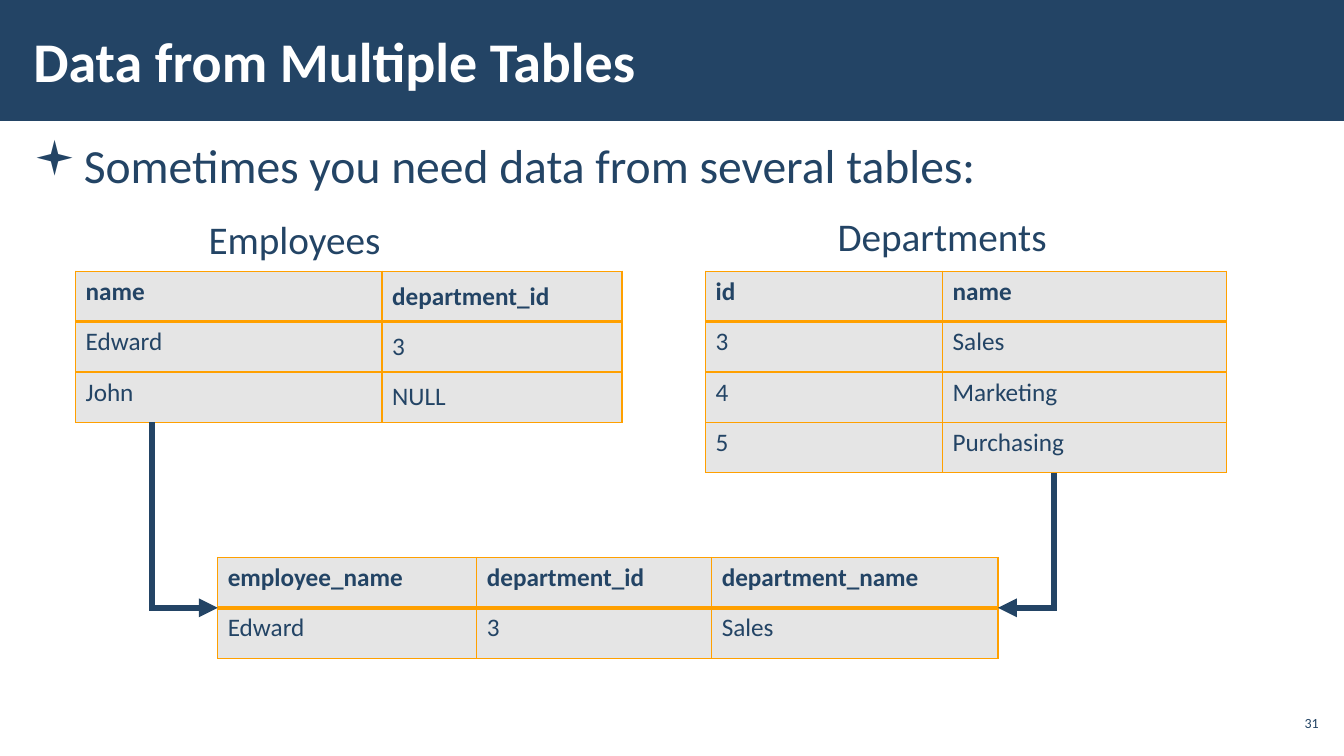
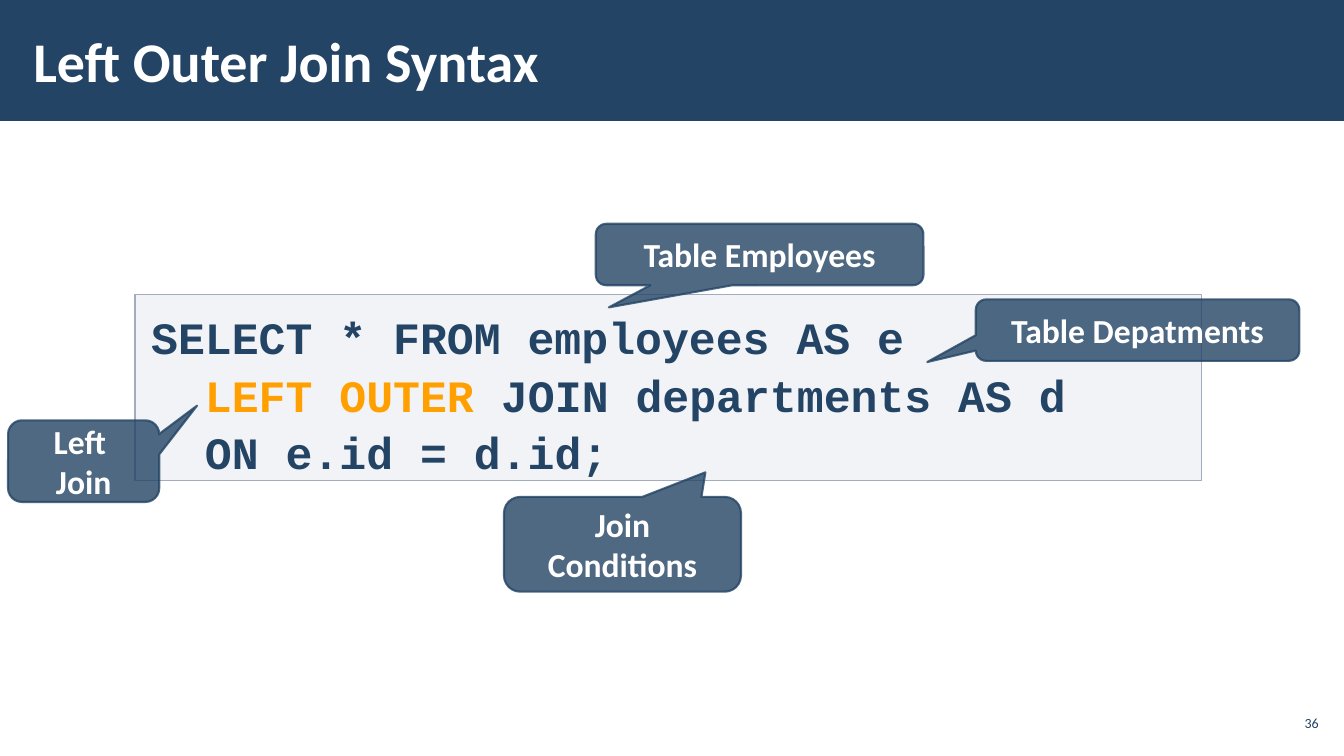
from lxml.etree import SubElement
from pptx import Presentation
from pptx.dml.color import RGBColor
from pptx.enum.shapes import MSO_CONNECTOR, MSO_SHAPE
from pptx.enum.text import MSO_ANCHOR, PP_ALIGN
from pptx.oxml.ns import qn
from pptx.util import Inches, Pt

# Shared look
NAVY, ORANGE, WHITE, GRAY = "234465", "FFA000", "FFFFFF", "808080"
CODE_FILL, CODE_LINE = "C2C7D2", "A3ABBC"
SANS, MONO = "Calibri", "Courier New"

# Grid: 100 columns by 100 rows over the slide
SLIDE_W, SLIDE_H = Inches(13.33), Inches(7.5)
TABLE_ROW = 6.67
LEFT_SIDE, RIGHT_SIDE = 1, 3


def col(n):
    return round(SLIDE_W * n / 100)


def row(n):
    return round(SLIDE_H * n / 100)


def area(left, top, width, height):
    return col(left), row(top), col(width), row(height)


def rgb(color):
    return RGBColor.from_string(color)


def paint(fill, color, opacity=100):
    fill.solid()
    fill.fore_color.rgb = rgb(color)
    if opacity < 100:
        srgb = fill._xPr.find(qn("a:solidFill")).find(qn("a:srgbClr"))
        SubElement(srgb, qn("a:alpha"), val=str(opacity * 1000))


def style(run, size, color=NAVY, bold=False, font=SANS):
    run.font.size, run.font.bold, run.font.name = Pt(size), bold, font
    run.font.color.rgb = rgb(color)


def style_all(frame, *look):
    for paragraph in frame.paragraphs:
        for run in paragraph.runs:
            style(run, *look)


def set_insets(frame, side, end):
    frame.margin_left = frame.margin_right = Inches(side)
    frame.margin_top = frame.margin_bottom = Inches(end)


def add_box(slide, preset, spot, fill, opacity=100):
    box = slide.shapes.add_shape(preset, *area(*spot))
    box.shadow.inherit = False
    paint(box.fill, fill, opacity)
    box.line.fill.background()
    return box


def add_text(slide, spot, text, size, wrap=True):
    frame = slide.shapes.add_textbox(*area(*spot)).text_frame
    frame.word_wrap = wrap
    frame.text = text
    style_all(frame, size)
    return frame


def add_page(deck, heading, number):
    slide = deck.slides.add_slide(deck.slide_layouts[5])
    # Band behind the title
    band = add_box(slide, MSO_SHAPE.RECTANGLE, (0, 0, 100, 16), NAVY)
    slide.shapes._spTree.insert(2, band._element)
    # Title
    title = slide.shapes.title
    title.left, title.top, title.width, title.height = area(1.58, 1.47, 77.93, 12.93)
    frame = title.text_frame
    frame.text = heading
    frame.vertical_anchor = MSO_ANCHOR.MIDDLE
    frame.paragraphs[0].alignment = PP_ALIGN.LEFT
    set_insets(frame, 0.12, 0.04)
    style_all(frame, 40, WHITE, True)
    # Page number
    page = add_text(slide, (94.88, 93.33, 3.53, 4.53), number, 10)
    page.vertical_anchor = MSO_ANCHOR.MIDDLE
    page.paragraphs[0].alignment = PP_ALIGN.RIGHT
    set_insets(page, 0.04, 0.04)
    return slide


def add_bullet(slide, text):
    frame = add_text(slide, (1.58, 17.47, 96.9, 75.87), text, 34)
    set_insets(frame, 0.12, 0.04)
    point = frame.paragraphs[0]
    point.space_before = point.space_after = Pt(6)
    properties = point._p.get_or_add_pPr()
    properties.set("marL", str(Inches(0.5)))
    properties.set("indent", str(-Inches(0.5)))
    SubElement(properties, qn("a:buFont"), typeface="Wingdings")
    SubElement(properties, qn("a:buChar"), char="▪")


def add_borders(cell, widths):
    properties = cell._tc.get_or_add_tcPr()
    for index, (side, width) in enumerate(zip("LRTB", widths)):
        line = properties.makeelement(qn(f"a:ln{side}"), {"w": str(Pt(width))})
        solid = SubElement(line, qn("a:solidFill"))
        SubElement(solid, qn("a:srgbClr"), val=ORANGE)
        properties.insert(index, line)


def add_data_table(slide, left, top, columns, records, middle_column=None):
    holder = slide.shapes.add_table(
        len(records), len(columns),
        *area(left, top, sum(columns), TABLE_ROW * len(records)))
    table = holder.table
    for column, width in zip(table.columns, columns):
        column.width = col(width)
    for r, record in enumerate(records):
        for c, value in enumerate(record):
            cell = table.cell(r, c)
            cell.text = value
            style_all(cell.text_frame, 18, NAVY, r == 0)
            paint(cell.fill, GRAY, 20)
            if c == middle_column:
                cell.vertical_anchor = MSO_ANCHOR.MIDDLE
            add_borders(cell, (1, 1, 3 if r == 1 else 1, 3 if r == 0 else 1))
    return holder


def add_line(slide, x1, y1, x2, y2):
    line = slide.shapes.add_connector(MSO_CONNECTOR.STRAIGHT, x1, y1, x2, y2)
    line.line.width = Pt(4.5)
    paint(line.line.fill, NAVY)
    SubElement(line._element.spPr, qn("a:effectLst"))
    return line


def add_elbow(slide, column, source, target, side):
    """Go down from the source table, then across to a side of the target."""
    x, start = col(column), source.top + source.height
    y = target.top + target.height // 2
    edge = target.left if side == LEFT_SIDE else target.left + target.width
    add_line(slide, x, start, x, y + Pt(2.25))
    arrow = add_line(slide, x, y, edge, y)
    arrow.end_connect(target, side)
    SubElement(arrow.line._get_or_add_ln(), qn("a:tailEnd"), type="triangle")


def add_code(slide, spot, lines):
    """Each line is (indent in characters, [(text, color), ...])."""
    box = add_box(slide, MSO_SHAPE.RECTANGLE, spot, CODE_FILL, 20)
    paint(box.line.fill, CODE_LINE)
    box.line.width = Pt(1)
    frame = box.text_frame
    frame.vertical_anchor = MSO_ANCHOR.TOP
    set_insets(frame, 0.16, 0.12)
    for index, (indent, parts) in enumerate(lines):
        line = frame.add_paragraph() if index else frame.paragraphs[0]
        line.alignment = PP_ALIGN.LEFT
        line.line_spacing = 1.07
        line._p.get_or_add_pPr().set("marL", str(Pt(32 * 0.6 * indent)))
        for text, color in parts:
            run = line.add_run()
            run.text = text
            style(run, 32, color, True, MONO)


def add_callout(slide, text, spot, tip):
    callout = add_box(slide, MSO_SHAPE.ROUNDED_RECTANGULAR_CALLOUT, spot, NAVY, 80)
    paint(callout.line.fill, NAVY, 80)
    callout.line.width = Pt(1.5)
    for index, value in enumerate((*tip, 0.17)):
        callout.adjustments[index] = value
    frame = callout.text_frame
    frame.text = text
    frame.vertical_anchor = MSO_ANCHOR.MIDDLE
    frame.paragraphs[0].alignment = PP_ALIGN.CENTER
    style_all(frame, 24, WHITE, True)


def build_multiple_tables(deck):
    slide = add_page(deck, "Data from Multiple Tables", "31")
    add_bullet(slide, "Sometimes you need data from several tables:")
    # Source tables
    add_text(slide, (14.78, 27.87, 14.4, 7.6), "Employees", 28, False)
    employees = add_data_table(
        slide, 5.63, 35.87, (22.8, 17.85),
        [("name", "department_id"), ("Edward", "3"), ("John", "NULL")],
        middle_column=1)
    add_text(slide, (61.58, 27.47, 17.25, 7.6), "Departments", 28, False)
    departments = add_data_table(
        slide, 52.5, 35.87, (17.63, 21.15),
        [("id", "name"), ("3", "Sales"), ("4", "Marketing"), ("5", "Purchasing")])
    # Joined table
    joined = add_data_table(
        slide, 16.2, 73.73, (19.28, 17.48, 21.3),
        [("employee_name", "department_id", "department_name"),
         ("Edward", "3", "Sales")])
    add_elbow(slide, 11.33, employees, joined, LEFT_SIDE)
    add_elbow(slide, 78.45, departments, joined, RIGHT_SIDE)


def build_left_outer_join(deck):
    slide = add_page(deck, "Left Outer Join Syntax", "36")
    # Query
    add_code(slide, (10.05, 38.93, 79.35, 24.67), [
        (0, [("SELECT * FROM employees AS e", NAVY)]),
        (2, [("LEFT OUTER", ORANGE), (" JOIN departments AS d", NAVY)]),
        (2, [("ON e.id = d.id;", NAVY)]),
    ])
    # Explanations
    for text, spot, tip in (
        ("Table Depatments", (72.6, 39.6, 24.08, 8.13), (-0.65, 0.52)),
        ("Table Employees", (44.33, 29.6, 24.38, 8.13), (-0.46, 0.86)),
        ("Join Conditions", (37.5, 65.73, 17.63, 12.53), (0.35, -0.76)),
        ("Left \vJoin", (0.6, 55.6, 11.25, 10.8), (0.75, -0.68)),
    ):
        add_callout(slide, text, spot, tip)


def main():
    deck = Presentation()
    deck.slide_width, deck.slide_height = SLIDE_W, SLIDE_H
    build_multiple_tables(deck)
    build_left_outer_join(deck)
    deck.save("out.pptx")


if __name__ == "__main__":
    main()
